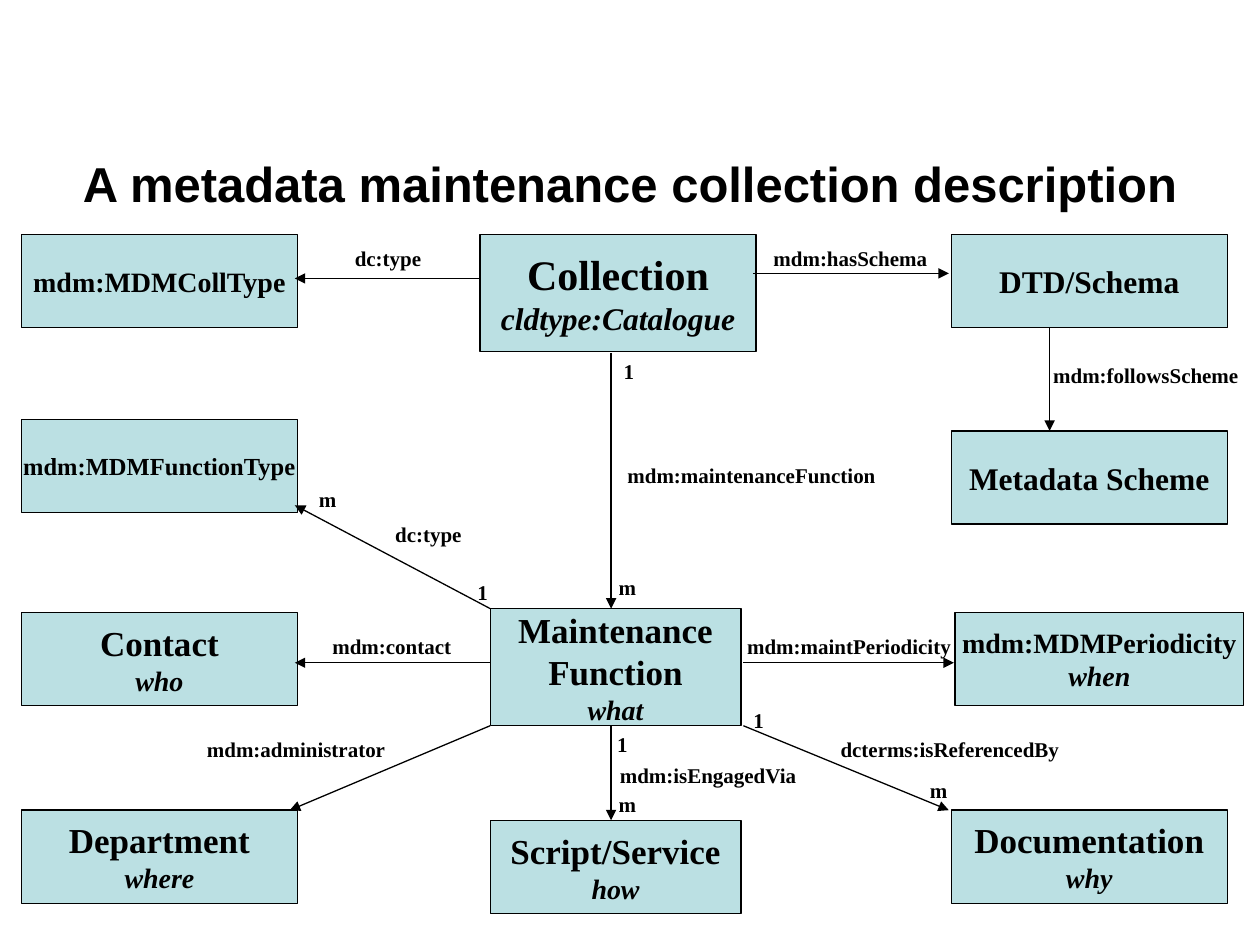
from dataclasses import dataclass

from lxml import etree
from pptx import Presentation, util as u
from pptx.dml.color import RGBColor
from pptx.enum import shapes, text
from pptx.oxml.ns import qn


@dataclass(frozen=True)
class Theme:
    ink: RGBColor = RGBColor(0x00, 0x00, 0x00)
    entity_fill: RGBColor = RGBColor(0xBB, 0xE0, 0xE3)
    heading_font: str = "Arial"
    body_font: str = "Times New Roman"
    heading_size: int = 28
    label_size: int = 12
    line_width: float = 0.75


class Diagram:
    """Draws entities, relations and labels on one slide in one theme."""

    def __init__(self, slide, theme):
        self.slide = slide
        self.theme = theme

    def _write(self, paragraph, words, size, font, italic=False, align=text.PP_ALIGN.CENTER):
        paragraph.text = words
        paragraph.alignment = align
        face = paragraph.runs[0].font
        face.name, face.size = font, u.Pt(size)
        face.bold, face.italic = True, italic
        face.color.rgb = self.theme.ink

    def _text_box(self, left, top, width, height):
        return self.slide.shapes.add_textbox(*map(u.Inches, (left, top, width, height)))

    def title(self, words, left, top, width, height):
        frame = self._text_box(left, top, width, height).text_frame
        frame.word_wrap = True
        frame.vertical_anchor = text.MSO_ANCHOR.MIDDLE
        self._write(frame.paragraphs[0], words, self.theme.heading_size, self.theme.heading_font)

    def entity(self, left, top, width, height, *lines):
        box = self.slide.shapes.add_shape(
            shapes.MSO_SHAPE.RECTANGLE, *map(u.Inches, (left, top, width, height)))
        box.shadow.inherit = False
        box.fill.solid()
        box.fill.fore_color.rgb = self.theme.entity_fill
        box.line.color.rgb = self.theme.ink
        box.line.width = u.Pt(self.theme.line_width)
        frame = box.text_frame
        frame.word_wrap = False
        frame.vertical_anchor = text.MSO_ANCHOR.MIDDLE
        for row, (words, size, italic) in enumerate(lines):
            paragraph = frame.add_paragraph() if row else frame.paragraphs[0]
            self._write(paragraph, words, size, self.theme.body_font, italic)

    def relation(self, x1, y1, x2, y2):
        arrow = self.slide.shapes.add_connector(
            shapes.MSO_CONNECTOR.STRAIGHT, *map(u.Inches, (x1, y1, x2, y2)))
        arrow.line.color.rgb = self.theme.ink
        arrow.line.width = u.Pt(self.theme.line_width)
        etree.SubElement(arrow.line._get_or_add_ln(), qn("a:tailEnd"), type="triangle")
        etree.SubElement(arrow._element.spPr, qn("a:effectLst"))

    def label(self, words, left, top, width, inset_left=0.05, inset_right=0.05,
              align=text.PP_ALIGN.CENTER):
        frame = self._text_box(left, top, width, 0.3).text_frame
        frame.word_wrap = True
        frame.margin_left, frame.margin_right = u.Inches(inset_left), u.Inches(inset_right)
        self._write(frame.paragraphs[0], words, self.theme.label_size, self.theme.body_font,
                    align=align)

    def multiplicity(self, words, left, top):
        self.label(words, left, top, 0.28 if words == "1" else 0.34)


LEFT, RIGHT, MIDDLE, AXIS = 0.17, 7.55, 3.89, 4.85
SIDE_WIDTH, MIDDLE_WIDTH, LOW, TALL = 2.19, 1.99, 0.74, 0.93
TOP_ROW, QUESTION_ROW, BOTTOM_ROW = 1.86, 4.86, 6.43


def name(words, size=20):
    return words, size, False


def note(words, size=16):
    return words, size, True


ENTITIES = [
    (LEFT, TOP_ROW, SIDE_WIDTH, LOW, name("mdm:MDMCollType", 16)),
    (LEFT, 3.33, SIDE_WIDTH, LOW, name("mdm:MDMFunctionType", 14)),
    (LEFT, QUESTION_ROW, SIDE_WIDTH, LOW, name("Contact"), note("who")),
    (LEFT, BOTTOM_ROW, SIDE_WIDTH, LOW, name("Department"), note("where")),
    (3.81, TOP_ROW, SIDE_WIDTH, TALL, name("Collection", 24), note("cldtype:Catalogue", 18)),
    (MIDDLE, 4.83, MIDDLE_WIDTH, TALL, name("Maintenance"), name("Function"), note("what")),
    (MIDDLE, 6.51, MIDDLE_WIDTH, LOW, name("Script/Service"), note("how")),
    (RIGHT, TOP_ROW, SIDE_WIDTH, LOW, name("DTD/Schema", 18)),
    (RIGHT, 3.42, SIDE_WIDTH, LOW, name("Metadata Scheme", 18)),
    (7.58, QUESTION_ROW, 2.29, LOW, name("mdm:MDMPeriodicity", 16), note("when")),
    (RIGHT, BOTTOM_ROW, SIDE_WIDTH, LOW, name("Documentation"), note("why")),
]

RELATIONS = [
    (5.98, 2.17, 7.53, 2.17),
    (3.81, 2.21, 2.34, 2.21),
    (8.33, 2.6, 8.33, 3.42),
    (AXIS, 2.8, AXIS, 4.83),
    (MIDDLE, 4.83, 2.34, 4.01),
    (MIDDLE, 5.26, 2.34, 5.26),
    (MIDDLE, 5.76, 2.3, BOTTOM_ROW),
    (5.9, 5.26, 7.57, 5.26),
    (5.9, 5.76, 7.53, BOTTOM_ROW),
    (AXIS, 5.76, AXIS, 6.51),
]

LABELS = [
    ("mdm:hasSchema", 6.06, 1.9, 1.38),
    ("dc:type", 2.55, 1.9, 1.06),
    ("dc:type", 2.89, 4.09, 1.02),
    ("mdm:contact", 2.41, 4.98, 1.4),
    ("mdm:maintPeriodicity", 5.86, 4.98, 1.76, 0.01, 0.01),
    ("dcterms:isReferencedBy", 6.36, 5.8, 2.36),
    ("mdm:isEngagedVia", 4.84, 6, 1.56),
    ("mdm:administrator", 1.28, 5.8, 2.06, 0.18, 0.1),
    ("mdm:followsScheme", 8.28, 2.83, 1.63),
    ("mdm:maintenanceFunction", AXIS, 3.62, 2.44, 0.13, 0.05, text.PP_ALIGN.LEFT),
]

MULTIPLICITIES = [
    ("1", AXIS, 2.8), ("m", 4.81, 4.51),
    ("1", 3.69, 4.55), ("m", 2.43, 3.81),
    ("1", 5.88, 5.57), ("m", 7.28, 6.12),
    ("1", 4.8, 5.76), ("m", 4.81, 6.23),
]


def main():
    deck = Presentation()
    deck.slide_width, deck.slide_height = u.Inches(10), u.Inches(7.5)
    diagram = Diagram(deck.slides.add_slide(deck.slide_layouts[6]), Theme())
    for entity in ENTITIES:
        diagram.entity(*entity)
    for relation in RELATIONS:
        diagram.relation(*relation)
    for label in LABELS:
        diagram.label(*label)
    for multiplicity in MULTIPLICITIES:
        diagram.multiplicity(*multiplicity)
    diagram.title("A metadata maintenance collection description", 0, 0.83, 10, 1.25)
    deck.save("out.pptx")


if __name__ == "__main__":
    main()
